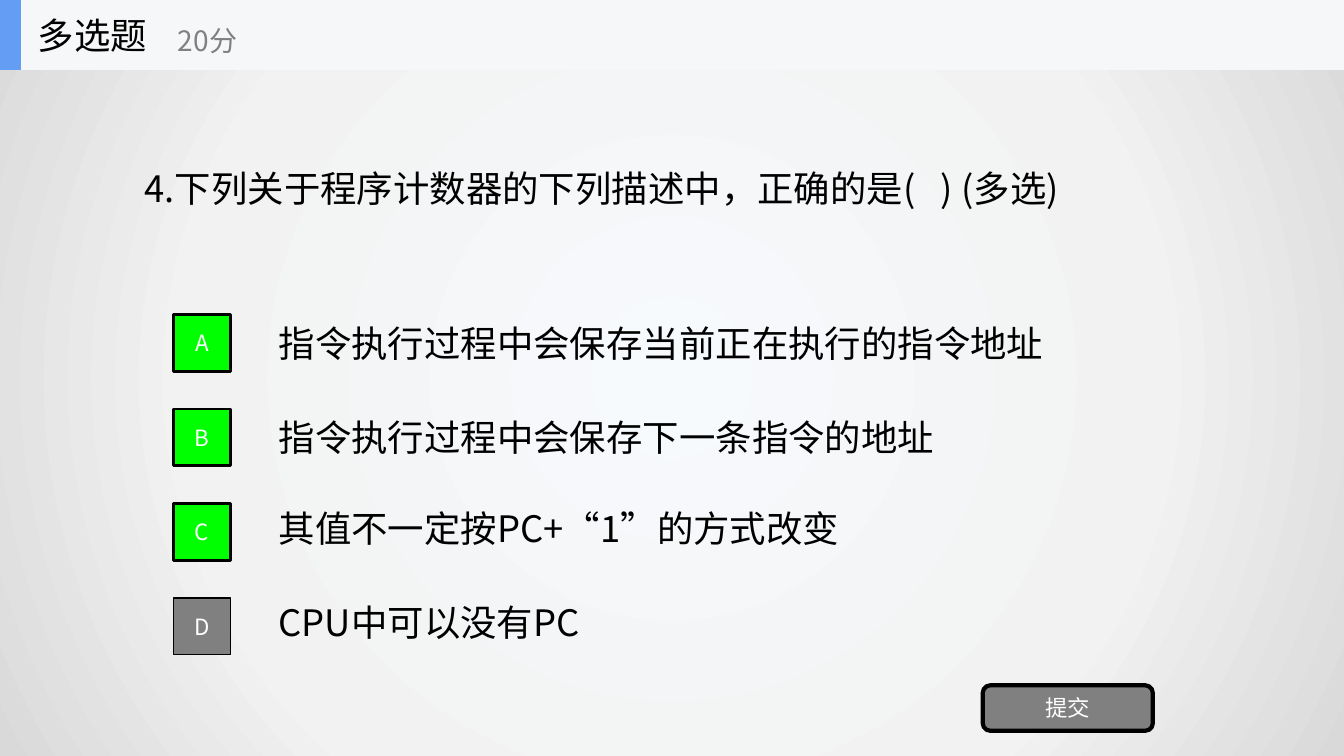
from lxml import etree
from pptx import Presentation
from pptx.dml.color import RGBColor
from pptx.enum.shapes import MSO_SHAPE
from pptx.enum.text import MSO_ANCHOR, MSO_AUTO_SIZE, PP_ALIGN
from pptx.oxml.ns import qn
from pptx.util import Pt

RECT, ROUNDED = MSO_SHAPE.RECTANGLE, MSO_SHAPE.ROUNDED_RECTANGLE
MIDDLE, NO_FIT = MSO_ANCHOR.MIDDLE, MSO_AUTO_SIZE.NONE
LEFT, CENTER = PP_ALIGN.LEFT, PP_ALIGN.CENTER

FONT = "Noto Sans CJK SC"
BLACK = RGBColor(0x00, 0x00, 0x00)
WHITE = RGBColor(0xFF, 0xFF, 0xFF)
GRAY = RGBColor(0x80, 0x80, 0x80)
GREEN = RGBColor(0x00, 0xFF, 0x00)
BLUE = RGBColor(0x63, 0x9E, 0xF4)
HEADER_FILL = RGBColor(0xF6, 0xF7, 0xF8)
BACKGROUND = [(0, RGBColor(0xF7, 0xFA, 0xFD)),
              (63, RGBColor(0xF2, 0xF2, 0xF2)),
              (100, RGBColor(0xD9, 0xD9, 0xD9))]

QUESTION = "4.下列关于程序计数器的下列描述中，正确的是(   ) (多选)"
# letter, text, text width, chosen, line spacing
OPTIONS = [("A", "指令执行过程中会保存当前正在执行的指令地址", 568, True, None),
           ("B", "指令执行过程中会保存下一条指令的地址", 490, True, None),
           ("C", "其值不一定按PC+“1”的方式改变", 428, True, 0.82),
           ("D", "CPU中可以没有PC", 238, False, 0.82)]
OPTION_PITCH = 67.5


def write(sp, text, size=26, color=BLACK, align=LEFT, wrap=True, spacing=None):
    tf = sp.text_frame
    tf.auto_size = NO_FIT
    tf.word_wrap = wrap
    tf.vertical_anchor = MIDDLE
    p = tf.paragraphs[0]
    p.alignment = align
    p.line_spacing = spacing
    r = p.add_run()
    r.text = text
    r.font.name = FONT
    r.font.size = Pt(size)
    r.font.color.rgb = color
    for props in sp.element.iter(qn("a:rPr")):
        etree.SubElement(props, qn("a:ea"), typeface=FONT)


def add_text(shapes, box, text, **fmt):
    sp = shapes.add_textbox(*map(Pt, box))
    write(sp, text, **fmt)


def add_block(shapes, box, fill, kind=RECT, border=0, label=None):
    sp = shapes.add_shape(kind, *map(Pt, box))
    sp.shadow.inherit = False
    sp.fill.solid()
    sp.fill.fore_color.rgb = fill
    if border:
        sp.line.color.rgb = BLACK
        sp.line.width = Pt(border)
    else:
        sp.line.fill.background()
    if label:
        write(sp, label, size=16, color=WHITE, align=CENTER)


def set_radial_background(s):
    s.background.fill.gradient()
    grad = next(s.element.iter(qn("a:gradFill")))
    for child in list(grad):
        grad.remove(child)
    stops = etree.SubElement(grad, qn("a:gsLst"))
    for percent, color in BACKGROUND:
        stop = etree.SubElement(stops, qn("a:gs"), pos=str(percent * 1000))
        etree.SubElement(stop, qn("a:srgbClr"), val=str(color))
    path = etree.SubElement(grad, qn("a:path"), attrib={"path": "circle"})
    etree.SubElement(path, qn("a:fillToRect"),
                     l="50000", t="50000", r="50000", b="50000")


def add_question(s):
    title = s.shapes.title
    title.left, title.top, title.width, title.height = map(Pt, (96, 115, 758, 39))
    write(title, QUESTION)


def add_options(s):
    for i, (letter, text, width, chosen, spacing) in enumerate(OPTIONS):
        top = 224.6 + i * OPTION_PITCH
        add_text(s.shapes, (192, top + 1, width, 38), text, spacing=spacing)
        add_block(s.shapes, (124, top, 40.5, 40.5), GREEN if chosen else GRAY,
                  border=2 if chosen else 1, label=letter)


def add_header(s):
    shapes = s.shapes.add_group_shape().shapes
    add_block(shapes, (0, 0, 960, 50), HEADER_FILL)
    add_block(shapes, (0, 0, 15, 50), BLUE)
    add_text(shapes, (20, 0, 150, 50), "多选题", wrap=False)
    add_text(shapes, (120, 8.5, 180, 40), "20分", size=20, color=GRAY, wrap=False)


def main():
    prs = Presentation()
    prs.slide_width, prs.slide_height = Pt(960), Pt(540)
    s = prs.slides.add_slide(prs.slide_layouts.get_by_name("Title Only"))
    set_radial_background(s)
    add_question(s)
    add_options(s)
    add_block(s.shapes, (702, 489.5, 121.5, 32.5), GRAY,
              kind=ROUNDED, border=3, label="提交")
    add_header(s)
    prs.save("out.pptx")


if __name__ == "__main__":
    main()
